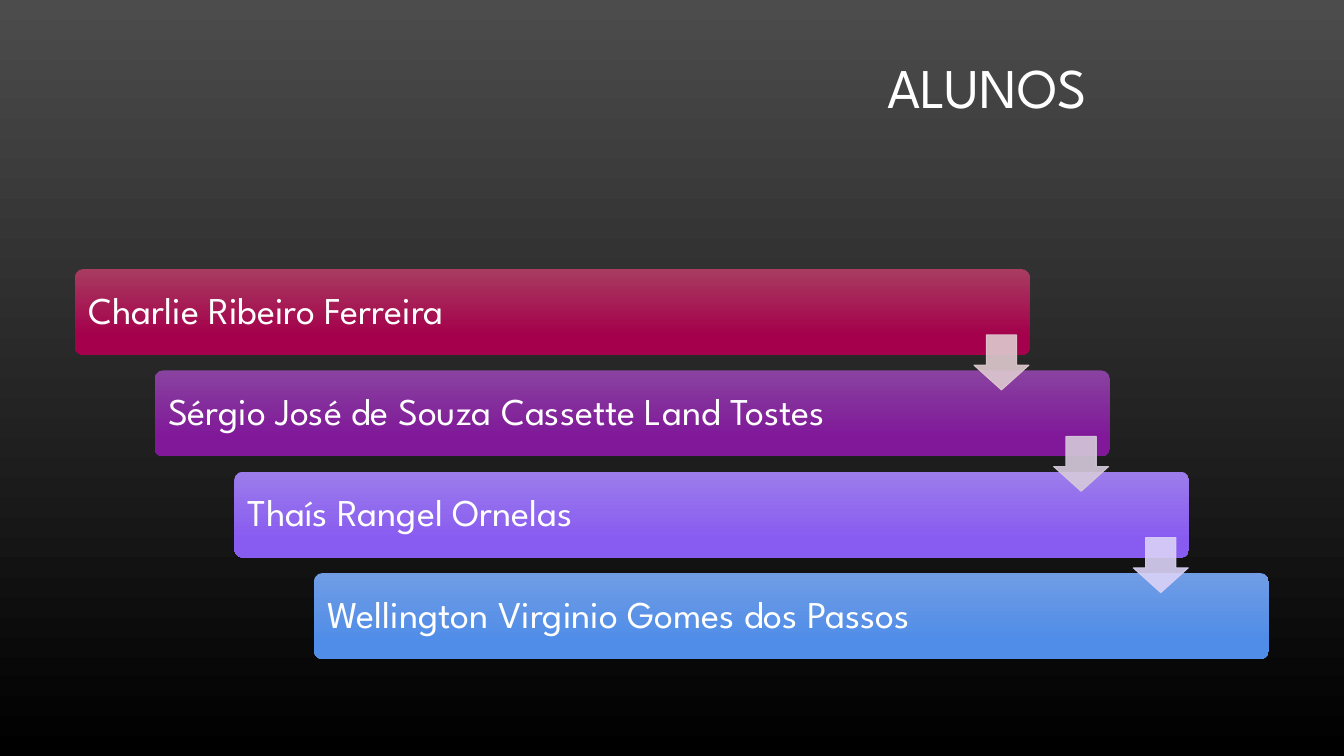
from lxml import etree
from pptx import Presentation
from pptx.dml.color import RGBColor
from pptx.enum.shapes import MSO_SHAPE
from pptx.enum.text import MSO_ANCHOR, PP_ALIGN
from pptx.oxml.ns import qn
from pptx.util import Emu, Pt

ROUNDED = MSO_SHAPE.ROUNDED_RECTANGLE
DOWN_ARROW = MSO_SHAPE.DOWN_ARROW
MIDDLE = MSO_ANCHOR.MIDDLE
LEFT, CENTER = PP_ALIGN.LEFT, PP_ALIGN.CENTER
EMU_PER_PX = 914400 / 100.8
FONT = "League Spartan"
WHITE = "FFFFFF"
BAR_WIDTH, BAR_HEIGHT = 955, 86
ARROW_SIZE, ARROW_DROP = 55, 66

STUDENTS = [
    ("Charlie Ribeiro Ferreira", "A83C60", "A4004B"),
    ("Sérgio José de Souza Cassette Land Tostes", "8942A0", "801899"),
    ("Thaís Rangel Ornelas", "9C7CEB", "885CF0"),
    ("Wellington Virginio Gomes dos Passos", "709DE5", "508DE8"),
]
ARROW_COLORS = ["DECACF", "D6CADB", "DAD2F7"]


def px(length):
    """Turn pixels into EMU."""
    return Emu(round(length * EMU_PER_PX))


def color(value):
    """Turn a hex string into a colour."""
    return RGBColor.from_string(value)


def fill_gradient(fill, top, bottom, end=1.0):
    """Fill with a gradient that runs downwards and finishes at end."""
    fill.gradient()
    fill.gradient_angle = 270
    for stop, value, position in zip(fill.gradient_stops, (top, bottom), (0, end)):
        stop.color.rgb = color(value)
        stop.position = position


def write_text(shape, text, size, align=LEFT, inset_x=10, inset_y=5):
    """Write one paragraph, centred vertically in the shape."""
    frame = shape.text_frame
    frame.word_wrap = True
    frame.vertical_anchor = MIDDLE
    frame.margin_left = frame.margin_right = px(inset_x)
    frame.margin_top = frame.margin_bottom = px(inset_y)
    paragraph = frame.paragraphs[0]
    paragraph.alignment = align
    paragraph.line_spacing = 0.9
    run = paragraph.add_run()
    run.text = text
    run.font.name = FONT
    run.font.size = Pt(size)
    run.font.color.rgb = color(WHITE)


def add_preset(slide, preset, box, adjustments):
    """Add a preset shape without shadow."""
    shape = slide.shapes.add_shape(preset, *map(px, box))
    shape.shadow.inherit = False
    for index, value in enumerate(adjustments):
        shape.adjustments[index] = value
    return shape


def add_title(slide, box, text):
    """Add the slide title."""
    write_text(slide.shapes.add_textbox(*map(px, box)), text, 40, align=CENTER)


def add_bar(slide, left, top, name, light, dark):
    """Add one student's bar."""
    bar = add_preset(slide, ROUNDED, (left, top, BAR_WIDTH, BAR_HEIGHT), [0.1])
    fill_gradient(bar.fill, light, dark, end=0.78)
    bar.line.fill.background()
    write_text(bar, name, 27, inset_x=11, inset_y=11)


def add_arrow(slide, left, top, value):
    """Add a slightly transparent arrow."""
    arrow = add_preset(slide, DOWN_ARROW, (left, top, ARROW_SIZE, ARROW_SIZE), [0.55, 0.45])
    arrow.fill.solid()
    arrow.fill.fore_color.rgb = color(value)
    arrow.line.color.rgb = color(value)
    arrow.line.width = Pt(0.75)
    for element in arrow._element.spPr.iter(qn("a:srgbClr")):
        etree.SubElement(element, qn("a:alpha")).set("val", "90000")


def add_staircase(slide, box):
    """Spread the bars diagonally over the box and join them with arrows."""
    left, top, width, height = box
    steps = len(STUDENTS) - 1
    step_x = (width - BAR_WIDTH) / steps
    step_y = (height - BAR_HEIGHT) / steps
    for index, student in enumerate(STUDENTS):
        add_bar(slide, left + index * step_x, top + index * step_y, *student)
    arrow_left = left + BAR_WIDTH - ARROW_SIZE - 1
    for index, value in enumerate(ARROW_COLORS):
        add_arrow(slide, arrow_left + index * step_x, top + ARROW_DROP + index * step_y, value)


def main():
    """Build and save the presentation."""
    presentation = Presentation()
    presentation.slide_width, presentation.slide_height = px(1344), px(756)
    slide = presentation.slides.add_slide(presentation.slide_layouts[6])
    fill_gradient(slide.background.fill, "4C4C4C", "000000")
    add_title(slide, (512, 19, 950, 142), "ALUNOS")
    add_staircase(slide, (75, 269, 1194, 390))
    presentation.save("out.pptx")


if __name__ == "__main__":
    main()
